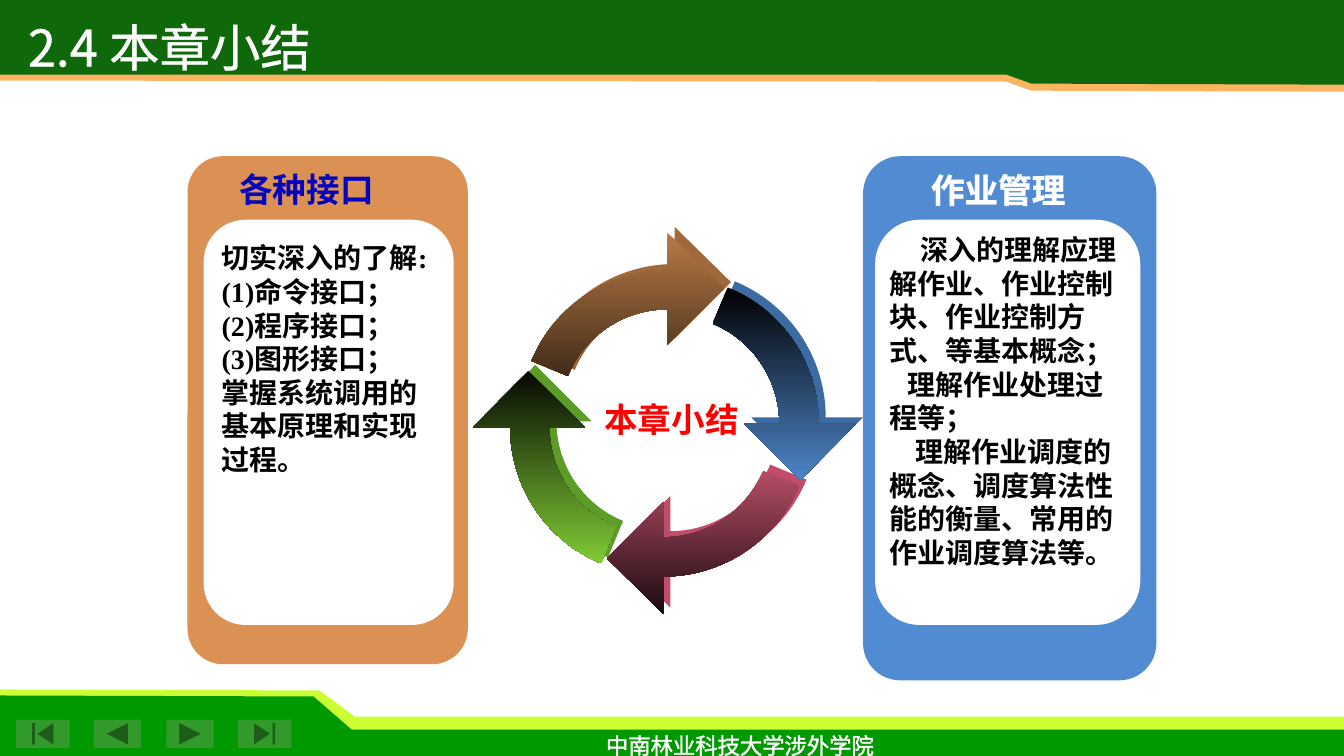
from math import cos, radians, sin, tan

from lxml import etree
from pptx import Presentation
from pptx.dml.color import RGBColor
from pptx.enum.shapes import MSO_SHAPE
from pptx.enum.text import MSO_ANCHOR, MSO_AUTO_SIZE, PP_ALIGN
from pptx.oxml.ns import qn
from pptx.util import Inches, Pt

ROUNDED = MSO_SHAPE.ROUNDED_RECTANGLE
CENTER, LEFT = PP_ALIGN.CENTER, PP_ALIGN.LEFT
TOP, NO_FIT = MSO_ANCHOR.TOP, MSO_AUTO_SIZE.NONE

WIDTH, HEIGHT = 13.33, 7.5
CJK_FONT = "Noto Sans CJK SC"
LINE_PITCH = 1.2
TEXT_DROP = 0.01

TITLE = "2.4 本章小结"
FOOTER = "中南林业科技大学涉外学院"
CYCLE_LABEL = "本章小结"

# Each body line is (text, first-line indent)
CARDS = [
    {
        "heading": "各种接口", "heading_color": "0404BC", "heading_center": 3.04,
        "color": "DB9153", "outer": (1.86, 1.55, 2.78, 5.04),
        "inner": (2.02, 2.18, 2.48, 4.02),
        "body_box": (2.1, 2.33, 2.28, 2.79), "font": "Times New Roman",
        "lines": [
            ("切实深入的了解:", 0),
            ("(1)命令接口；", 0),
            ("(2)程序接口；", 0),
            ("(3)图形接口；", 0),
            ("掌握系统调用的基本原理和实现过程。", 0),
        ],
    },
    {
        "heading": "作业管理", "heading_color": "FFFFFF", "heading_center": 9.9,
        "color": "518CD3", "outer": (8.56, 1.55, 2.91, 5.2),
        "inner": (8.68, 2.18, 2.63, 4.02),
        "body_box": (8.72, 2.25, 2.53, 3.47), "font": "Arial",
        "lines": [
            ("深入的理解应理解作业、作业控制块、作业控制方式、等基本概念；", 0.31),
            ("理解作业处理过程等；", 0.18),
            ("理解作业调度的概念、调度算法性能的衡量、常用的作业调度算法等。", 0.26),
        ],
    },
]

# Quarter turns, centre, top colour, bottom colour, side colour
ARROWS = [
    (2, (6.58, 4.26), "B54D66", "1A0B0F", "C24D6B"),
    (3, (6.52, 4.24), "050802", "80CB35", "5C9C28"),
    (0, (6.62, 4.14), "B87A46", "422C19", "A0693B"),
    (1, (6.66, 4.2), "000000", "4D85C8", "3C6AA3"),
]
SIDE_OFFSET = (0.07, -0.06)

BANDS = [
    ("CCFF33", [(0, 6.84), (3.17, 6.85), (3.52, 7.11), (WIDTH, 7.11),
                (WIDTH, 7.4), (0, 7.4)]),
    ("009900", [(0, 6.9), (3.11, 6.91), (3.49, 7.24), (WIDTH, 7.24),
                (WIDTH, HEIGHT), (0, HEIGHT)]),
    ("FBB561", [(0, 0), (WIDTH, 0), (WIDTH, 0.91), (10.23, 0.9),
                (9.98, 0.81), (0, 0.8)]),
    ("0F690B", [(0, 0), (WIDTH, 0), (WIDTH, 0.84), (10.23, 0.83),
                (9.98, 0.74), (0, 0.74)]),
]
BUTTONS = [
    (MSO_SHAPE.ACTION_BUTTON_BEGINNING, 0.16, 0.53),
    (MSO_SHAPE.ACTION_BUTTON_BACK_OR_PREVIOUS, 0.93, 0.47),
    (MSO_SHAPE.ACTION_BUTTON_FORWARD_OR_NEXT, 1.65, 0.47),
    (MSO_SHAPE.ACTION_BUTTON_END, 2.36, 0.53),
]


def rgb(color):
    return RGBColor.from_string(color)


def paint(shape, color):
    shape.shadow.inherit = False
    shape.line.fill.background()
    shape.fill.solid()
    shape.fill.fore_color.rgb = rgb(color)


def add_preset(slide, kind, box, color, corner=None):
    shape = slide.shapes.add_shape(kind, *map(Inches, box))
    paint(shape, color)
    if corner is not None:
        shape.adjustments[0] = corner


def add_outline(slide, points, color, curves=()):
    """Draw a closed outline; curves lists where three segments form one curve."""
    corners = [(Inches(x), Inches(y)) for x, y in points]
    builder = slide.shapes.build_freeform(*corners[0])
    builder.add_line_segments(corners[1:], close=True)
    shape = builder.convert_to_shape()
    paint(shape, color)
    segments = list(shape._element.iter(qn("a:lnTo")))
    for first in curves:
        curve = etree.Element(qn("a:cubicBezTo"))
        segments[first].addprevious(curve)
        for segment in segments[first:first + 3]:
            curve.append(segment[0])
            segment.getparent().remove(segment)
    return shape


def add_text_outline(span, color, width):
    properties = span._r.get_or_add_rPr()
    line = etree.Element(qn("a:ln"), {"w": str(Pt(width))})
    fill = etree.SubElement(line, qn("a:solidFill"))
    etree.SubElement(fill, qn("a:srgbClr"), {"val": color})
    properties.insert(0, line)


def write(box, lines, size, color, font, bold=False, align=CENTER, wrap=True,
          outline=0):
    """Fill a text box or placeholder with (text, first-line indent) lines."""
    frame = box.text_frame
    frame.word_wrap = wrap
    frame.auto_size = NO_FIT
    frame.vertical_anchor = TOP
    for number, (text, indent) in enumerate(lines):
        para = frame.add_paragraph() if number else frame.paragraphs[0]
        para.alignment = align
        para.line_spacing = Pt(size * LINE_PITCH)
        properties = para._p.get_or_add_pPr()
        properties.set("hangingPunct", "0")
        if indent:
            properties.set("indent", str(Inches(indent)))
        span = para.add_run()
        span.text = text
        span.font.size = Pt(size)
        span.font.bold = bold
        span.font.name = font
        span.font.color.rgb = rgb(color)
        east_asian = etree.Element(qn("a:ea"), {"typeface": CJK_FONT})
        span._r.rPr.find(qn("a:latin")).addnext(east_asian)
        if outline:
            add_text_outline(span, color, outline)


def add_text(slide, box, lines, **style):
    left, top, width, height = box
    place = left, top + TEXT_DROP, width, height
    write(slide.shapes.add_textbox(*map(Inches, place)), lines, **style)


def arc(radius, start, end):
    """Four control points of a circular arc, angles in degrees from the left."""
    start, end = radians(start), radians(end)
    reach = 4 / 3 * tan((end - start) / 4)
    points = [(cos(start), sin(start)),
              (cos(start) - reach * sin(start), sin(start) + reach * cos(start)),
              (cos(end) + reach * sin(end), sin(end) - reach * cos(end)),
              (cos(end), sin(end))]
    return [(-radius * x, -radius * y) for x, y in points]


def add_curved_arrow(slide, turns, center, color, offset=(0, 0)):
    """Curved arrow around a centre, turned clockwise by quarter turns."""
    head = [(0, -1.83), (0.56, -1.28), (0, -0.72)]
    points = arc(1.07, 90, 22.5) + arc(1.46, 22.5, 90) + head
    for _ in range(turns):
        points = [(-y, x) for x, y in points]
    placed = [(x + center[0] + offset[0], y + center[1] + offset[1])
              for x, y in points]
    return add_outline(slide, placed, color, curves=(0, 4))


def add_arrow(slide, turns, center, top_color, bottom_color, side_color):
    add_curved_arrow(slide, turns, center, side_color, SIDE_OFFSET)
    face = add_curved_arrow(slide, turns, center, top_color)
    face.fill.gradient()
    face.fill.gradient_angle = 270
    for stop, color in zip(face.fill.gradient_stops, (top_color, bottom_color)):
        stop.color.rgb = rgb(color)


def add_card(slide, card):
    add_preset(slide, ROUNDED, card["outer"], card["color"], 0.127)
    add_preset(slide, ROUNDED, card["inner"], "FFFFFF", 0.167)
    add_text(slide, (card["heading_center"] - 1.4, 1.62, 2.8, 0.5),
             [(card["heading"], 0)], size=24, color=card["heading_color"],
             font="Arial", bold=True, outline=0.75)
    add_text(slide, card["body_box"], card["lines"], size=20, color="000000",
             font=card["font"], bold=True, align=LEFT)


def main():
    deck = Presentation()
    deck.slide_width, deck.slide_height = Inches(WIDTH), Inches(HEIGHT)
    slide = deck.slides.add_slide(deck.slide_layouts[5])

    for color, points in BANDS:
        add_outline(slide, points, color)
    for kind, left, width in BUTTONS:
        add_preset(slide, kind, (left, 7.14, width, 0.28), "329A2A")
    add_text(slide, (5.84, 7.2, 3, 0.29), [(FOOTER, 0)], size=16,
             color="FFFFFF", font="Times New Roman", outline=0.75)

    for card in CARDS:
        add_card(slide, card)
    for arrow in ARROWS:
        add_arrow(slide, *arrow)
    add_text(slide, (5.62, 3.9, 2.08, 0.5), [(CYCLE_LABEL, 0)], size=24,
             color="FF0000", font="Arial", bold=True, outline=0.75)

    title = slide.shapes.title
    title.left, title.top = Inches(0.08), Inches(0.1 + TEXT_DROP)
    title.width, title.height = Inches(3.2), Inches(0.7)
    write(title, [(TITLE, 0)], size=36, color="FFFFFF", font=CJK_FONT, outline=1.5)
    slide.shapes._spTree.append(title._element)
    deck.save("out.pptx")


if __name__ == "__main__":
    main()
